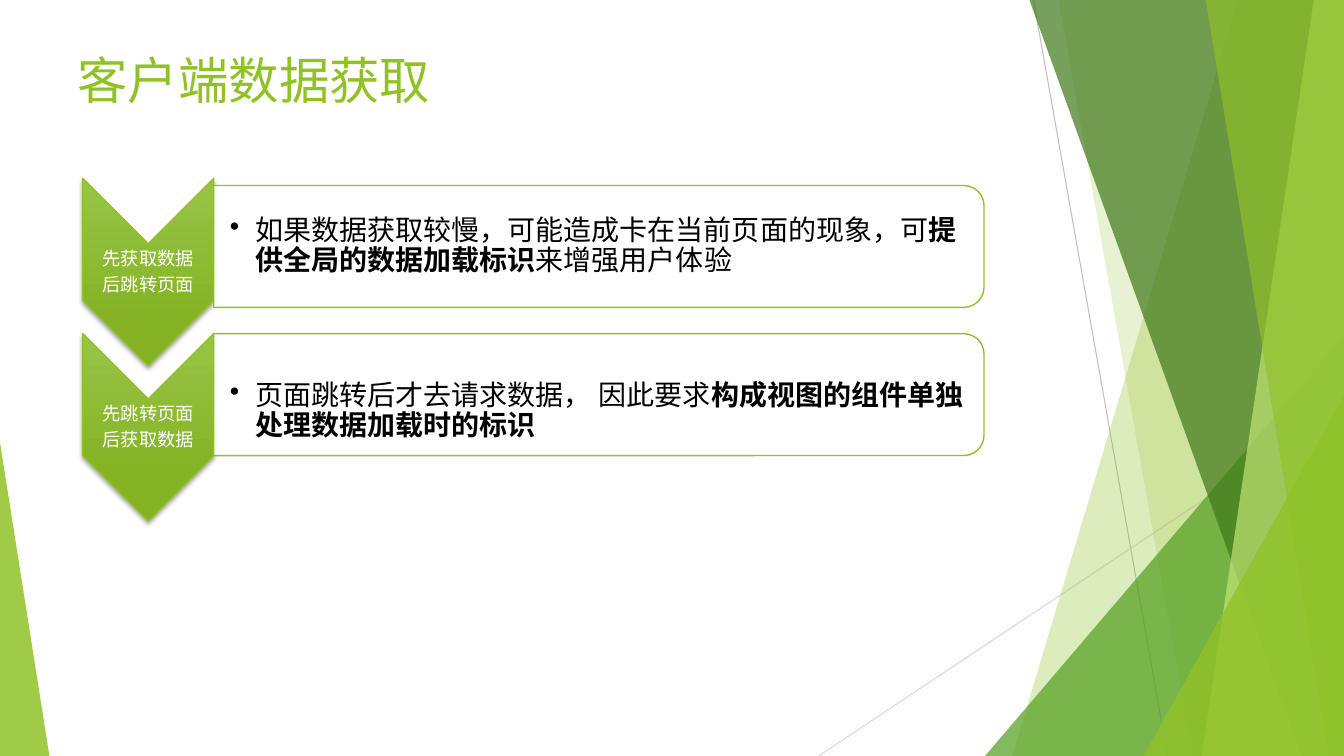
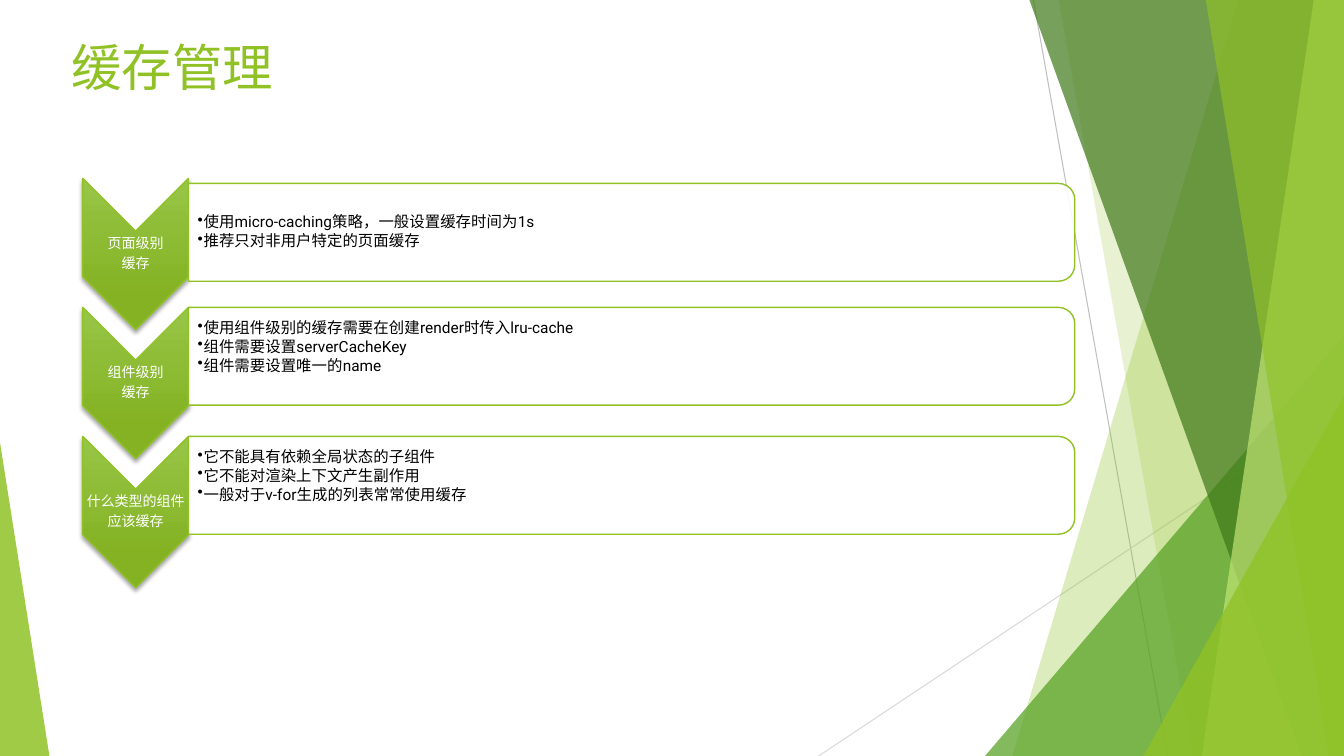
from dataclasses import dataclass

from lxml import etree
from pptx import Presentation
from pptx import util as u
from pptx.dml.color import RGBColor
from pptx.enum import shapes, text
from pptx.oxml.ns import qn

PX = 9144  # EMU per px, 100 px to the inch
WIDTH, HEIGHT = 1333, 750


@dataclass(frozen=True)
class Theme:
    green: str = "90C226"
    mid_green: str = "54A021"
    dark_green: str = "3F7819"
    pale_green: str = "C0E474"
    grad_top: str = "97C547"
    grad_bottom: str = "84B223"
    white: str = "FFFFFF"
    black: str = "000000"
    grey: str = "BFBFBF"
    light_grey: str = "D9D9D9"
    title_font: str = "Noto Sans CJK SC"
    body_font: str = "Roboto"
    title_size: int = 36


@dataclass(frozen=True)
class ListStyle:
    """Sizes of one chevron list, in px and points."""
    top: int
    step: int
    chevron_w: int
    chevron_h: int
    panel_w: int
    panel_h: int
    first_drop: int
    label_size: int
    body_size: int
    indent: int
    pad_left: int


def sub(parent, tag, **attrs):
    return etree.SubElement(parent, qn(tag), {k: str(v) for k, v in attrs.items()})


def add_run(p, content, font, size, color, bold=False):
    r = p.add_run()
    r.text = content
    r.font.size, r.font.name, r.font.bold = u.Pt(size), font, bold
    r.font.color.rgb = RGBColor.from_string(color)
    sub(r.font._element, "a:ea", typeface=font)


class Deck:
    left = 82

    def __init__(self, theme):
        self.theme = theme
        self.prs = Presentation()
        self.prs.slide_width, self.prs.slide_height = WIDTH * PX, HEIGHT * PX
        self.s = None

    def slide(self, title, x, y):
        self.s = self.prs.slides.add_slide(self.prs.slide_layouts[6])
        self.backdrop()
        self.title(title, x, y)

    def fill(self, sp, color, opacity=100):
        sp.shadow.inherit = False
        sp.fill.solid()
        sp.fill.fore_color.rgb = RGBColor.from_string(color)
        if opacity < 100:
            clr = sp.element.spPr.find(qn("a:solidFill")).find(qn("a:srgbClr"))
            sub(clr, "a:alpha", val=opacity * 1000)
        sp.line.fill.background()

    def outline(self, sp, color, width):
        sp.line.color.rgb = RGBColor.from_string(color)
        sp.line.width = u.Pt(width)

    def line(self, x1, y1, x2, y2, color):
        c = self.s.shapes.add_connector(
            shapes.MSO_CONNECTOR.STRAIGHT, x1 * PX, y1 * PX, x2 * PX, y2 * PX)
        self.outline(c, color, 0.75)
        sub(c.element.spPr, "a:effectLst")

    def ray(self, top_x, bottom_x, color, opacity):
        """Band from a slanted left edge to the right edge of the slide."""
        fb = self.s.shapes.build_freeform(top_x, 0, scale=PX)
        fb.add_line_segments([(WIDTH, 0), (WIDTH, HEIGHT), (bottom_x, HEIGHT)])
        self.fill(fb.convert_to_shape(), color, opacity)

    def triangle(self, x, y, w, apex, color, opacity):
        """Triangle standing on the bottom edge; apex 0 is left, 1 is right."""
        sp = self.s.shapes.add_shape(
            shapes.MSO_SHAPE.ISOSCELES_TRIANGLE,
            x * PX, y * PX, w * PX, (HEIGHT - y) * PX)
        sp.adjustments[0] = apex
        self.fill(sp, color, opacity)

    def backdrop(self):
        t = self.theme
        self.line(1025, 0, 1158, HEIGHT, t.grey)
        self.line(WIDTH, 403, 812, HEIGHT, t.light_grey)
        self.ray(1228, 1004, t.green, 30)
        self.ray(1050, 1183, t.green, 20)
        self.triangle(977, 333, 356, 1, t.mid_green, 72)
        self.ray(1021, 1291, t.dark_green, 70)
        self.ray(1303, 1192, t.pale_green, 70)
        self.ray(1196, 1318, t.green, 65)
        self.triangle(1134, 393, 199, 1, t.green, 80)
        self.triangle(0, 439, 49, 0, t.green, 85)

    def title(self, content, x, y):
        t = self.theme
        sp = self.s.shapes.add_textbox(x * PX, y * PX, 374 * PX, 71 * PX)
        tf = sp.text_frame
        tf.word_wrap = False
        tf.auto_size = text.MSO_AUTO_SIZE.SHAPE_TO_FIT_TEXT
        add_run(tf.paragraphs[0], content, t.title_font, t.title_size, t.green)

    def turned(self, kind, x, y, w, h):
        """Shape turned by 90 degrees that covers the given box."""
        sp = self.s.shapes.add_shape(
            kind, round((x + (w - h) / 2) * PX), round((y + (h - w) / 2) * PX),
            h * PX, w * PX)
        sp.rotation = 90
        return sp

    def chevron(self, x, y, w, h):
        t = self.theme
        sp = self.turned(shapes.MSO_SHAPE.CHEVRON, x, y, w, h)
        sp.fill.gradient()
        sp.fill.gradient_angle = 270
        stops = zip(sp.fill.gradient_stops, (t.grad_top, t.grad_bottom), (0, 0.78))
        for stop, color, position in stops:
            stop.color.rgb = RGBColor.from_string(color)
            stop.position = position
        spPr = sp.element.spPr
        spPr.find(qn("a:gradFill")).set("rotWithShape", "0")
        self.outline(sp, t.green, 1)
        sp.shadow.inherit = False
        shadow = sub(spPr.find(qn("a:effectLst")), "a:outerShdw", blurRad=u.Pt(3),
                     dist=u.Pt(2), dir=90 * 60000, rotWithShape=0)
        sub(sub(shadow, "a:srgbClr", val=t.black), "a:alpha", val=35000)

    def panel(self, x, y, w, h):
        sp = self.turned(shapes.MSO_SHAPE.ROUND_2_SAME_RECTANGLE, x, y, w, h)
        self.fill(sp, self.theme.white, 90)
        self.outline(sp, self.theme.green, 1)

    def body(self, paragraphs, x, y, w, h, size, color, after, centred=False,
             indent=0, pads=(1, 1, 1, 1)):
        """Text box; each paragraph is a list of runs, every second one bold."""
        tf = self.s.shapes.add_textbox(x * PX, y * PX, w * PX, h * PX).text_frame
        tf.word_wrap = True
        tf.vertical_anchor = text.MSO_ANCHOR.MIDDLE
        tf.margin_left, tf.margin_top, tf.margin_right, tf.margin_bottom = (
            pad * PX for pad in pads)
        for i, runs in enumerate(paragraphs):
            p = tf.add_paragraph() if i else tf.paragraphs[0]
            p.line_spacing, p.space_after = 0.9, u.Pt(size * after)
            if centred:
                p.alignment = text.PP_ALIGN.CENTER
            if indent:
                pPr = p._p.get_or_add_pPr()
                pPr.set("marL", str(indent * PX))
                pPr.set("indent", str(-indent * PX))
                sub(pPr, "a:buChar", char="•")
            for j, content in enumerate(runs):
                add_run(p, content, self.theme.body_font, size, color, j % 2 == 1)

    def chevron_list(self, st, rows):
        """Rows of (label lines, bullets, extra top pad, extra bottom pad)."""
        t = self.theme
        x = self.left + st.chevron_w
        inset = round(st.panel_h * 0.05)
        for i, (label, bullets, pad_top, pad_bottom) in enumerate(rows):
            y = st.top + i * st.step
            self.chevron(self.left, y, st.chevron_w, st.chevron_h)
            self.body([[line] for line in label], self.left, y + st.chevron_w // 2,
                      st.chevron_w, st.chevron_h - st.chevron_w, st.label_size,
                      t.white, 0.35, centred=True)
            if i == 0:
                y += st.first_drop
            self.panel(x, y, st.panel_w, st.panel_h)
            self.body(bullets, x, y + inset, st.panel_w - inset,
                      st.panel_h - 2 * inset, st.body_size, t.black, 0.15,
                      indent=st.indent,
                      pads=(st.pad_left, 1 + pad_top, 1, 1 + pad_bottom))


def main():
    deck = Deck(Theme())

    deck.slide("客户端数据获取", 67, 44)
    deck.chevron_list(
        ListStyle(top=177, step=154, chevron_w=130, chevron_h=186, panel_w=764,
                  panel_h=121, first_drop=7, label_size=13, body_size=20,
                  indent=25, pad_left=16),
        [(["先获取数据", "后跳转页面"],
          [["如果数据获取较慢，可能造成卡在当前页面的现象，可",
            "提供全局的数据加载标识", "来增强用户体验"]], 0, 0),
         (["先跳转页面", "后获取数据"],
          [["页面跳转后才去请求数据， 因此要求",
            "构成视图的组件单独处理数据加载时的标识"]], 33, 0)])

    deck.slide("缓存管理", 61, 31)
    deck.chevron_list(
        ListStyle(top=177, step=128, chevron_w=105, chevron_h=150, panel_w=879,
                  panel_h=97, first_drop=5, label_size=10, body_size=11,
                  indent=6, pad_left=9),
        [(["页面级别", "缓存"],
          [["使用micro-caching策略，一般设置缓存时间为1s"],
           ["推荐只对非用户特定的页面缓存"]], 0, 0),
         (["组件级别", "缓存"],
          [["使用组件级别的缓存需要在创建render时传入lru-cache"],
           ["组件需要设置serverCacheKey"],
           ["组件需要设置唯一的name"]], 0, 18),
         (["什么类型的组件", "应该缓存"],
          [["它不能具有依赖全局状态的子组件"],
           ["它不能对渲染上下文产生副作用"],
           ["一般对于v-for生成的列表常常使用缓存"]], 0, 18)])

    deck.prs.save("out.pptx")


if __name__ == "__main__":
    main()
